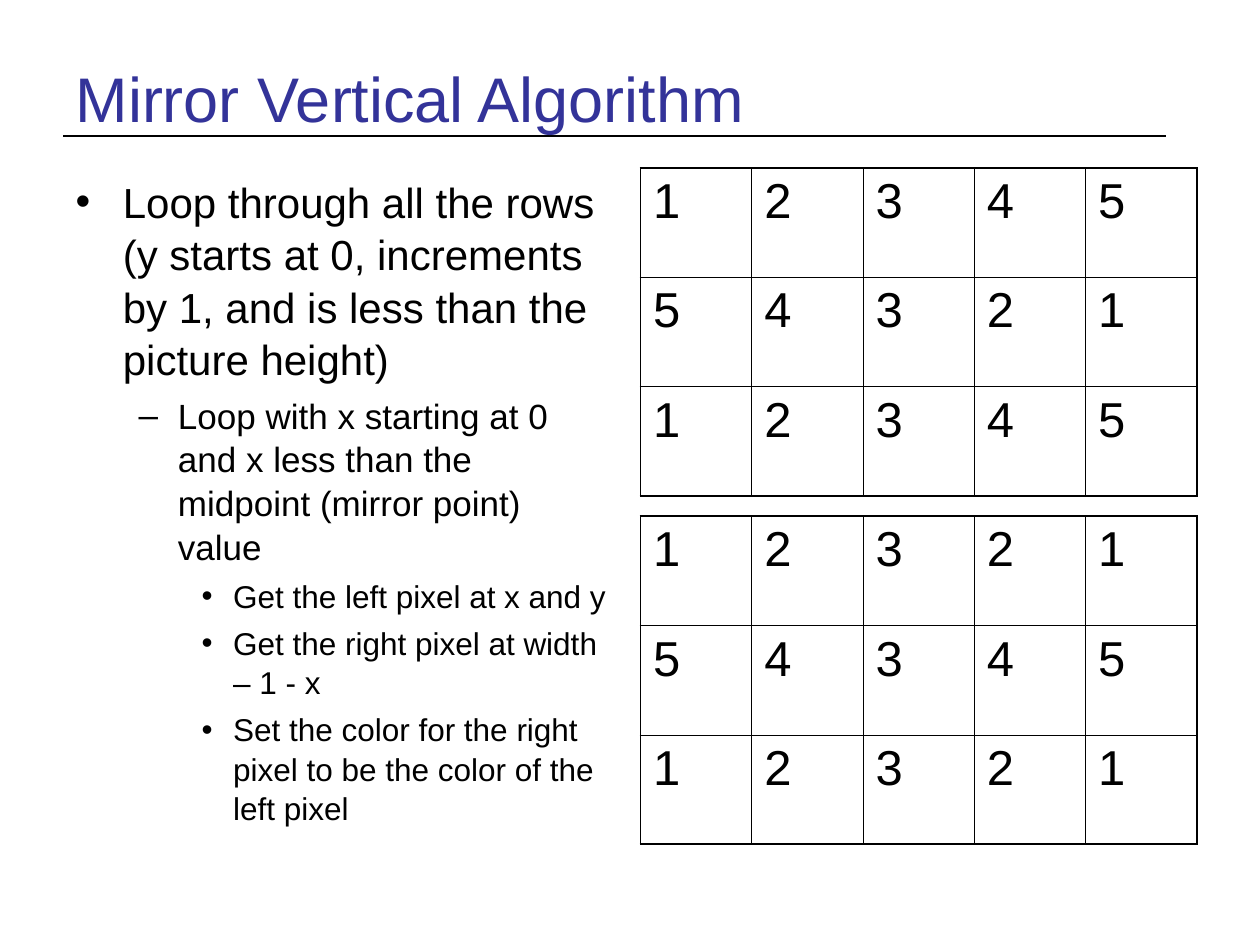
"""Builds the slide on the vertical mirror algorithm."""
from lxml.etree import SubElement
from pptx import Presentation
from pptx.dml.color import RGBColor
from pptx.enum.shapes import MSO_CONNECTOR
from pptx.enum.text import MSO_ANCHOR, MSO_AUTO_SIZE, PP_ALIGN
from pptx.oxml.ns import qn
from pptx.util import Pt

BULLETS = ["•", "–", "•"]
TEXT_SIZES = [24, 20, 18]
SPACES_BEFORE = [6, 5, 4.5]
INDENTS = [(27, -27), (58.5, -22.5), (90, -18)]
STEPS = [
    (0, "Loop through all the rows (y starts at 0, increments by 1, "
        "and is less than the picture height)"),
    (1, "Loop with x starting at 0 and x less than the midpoint (mirror point) value"),
    (2, "Get the left pixel at x and y"),
    (2, "Get the right pixel at width – 1 - x"),
    (2, "Set the color for the right pixel to be the color of the left pixel"),
]
PIXELS_BEFORE = ["12345", "54321", "12345"]
PIXELS_AFTER = ["12321", "54345", "12321"]


def rgb(hex_color):
    return RGBColor.from_string(hex_color)


class SlideBuilder:
    font_name = "Arial"
    ink = "000000"
    title_color = "333399"
    outer_width = 1.08
    inner_width = 0.45

    def __init__(self, slide):
        self.slide = slide

    def format_runs(self, paragraph, size, color):
        for run in paragraph.runs:
            run.font.name = self.font_name
            run.font.size = Pt(size)
            run.font.color.rgb = rgb(color)

    def place(self, placeholder, left, top, width, height):
        placeholder.left, placeholder.top = Pt(left), Pt(top)
        placeholder.width, placeholder.height = Pt(width), Pt(height)
        placeholder.text_frame.auto_size = MSO_AUTO_SIZE.NONE
        return placeholder.text_frame

    def title(self, text, *box):
        heading = self.place(self.slide.shapes.title, *box)
        heading.text = text
        heading.vertical_anchor = MSO_ANCHOR.MIDDLE
        heading.paragraphs[0].alignment = PP_ALIGN.LEFT
        self.format_runs(heading.paragraphs[0], 36, self.title_color)

    def rule(self, left, right, top):
        underline = self.slide.shapes.add_connector(
            MSO_CONNECTOR.STRAIGHT, Pt(left), Pt(top), Pt(right), Pt(top))
        underline.line.color.rgb = rgb(self.ink)
        underline.line.width = Pt(1.5)
        element = underline._element
        SubElement(element.spPr, qn("a:effectLst"))
        element.getparent().insert(2, element)

    def outline(self, steps, *box):
        body = self.place(self.slide.placeholders[1], *box)
        body.text = "\n".join(text for _, text in steps)
        for index, (level, _) in enumerate(steps):
            step = body.paragraphs[index]
            step.level = level
            step.line_spacing = 1.04
            step.space_before = Pt(SPACES_BEFORE[level] if index else 0)
            properties = step._p.get_or_add_pPr()
            margin, indent = INDENTS[level]
            properties.set("marL", str(Pt(margin)))
            properties.set("indent", str(Pt(indent)))
            bullet_color = SubElement(properties, qn("a:buClr"))
            SubElement(bullet_color, qn("a:srgbClr"), val=self.ink)
            SubElement(properties, qn("a:buFont"), typeface=self.font_name)
            SubElement(properties, qn("a:buChar"), char=BULLETS[level])
            self.format_runs(step, TEXT_SIZES[level], self.ink)

    def borders(self, cell, outer_sides):
        properties = cell._tc.get_or_add_tcPr()
        for side in "LRTB":
            width = self.outer_width if side in outer_sides else self.inner_width
            border = SubElement(properties, qn(f"a:ln{side}"), w=str(Pt(width)))
            fill = SubElement(border, qn("a:solidFill"))
            SubElement(fill, qn("a:srgbClr"), val=self.ink)

    def pixel_grid(self, pixels, left, top, width, height):
        row_count, column_count = len(pixels), len(pixels[0])
        grid = self.slide.shapes.add_table(
            row_count, column_count, Pt(left), Pt(top), Pt(width), Pt(height)).table
        grid.first_row = grid.horz_banding = False
        for y, row in enumerate(pixels):
            for x, value in enumerate(row):
                cell = grid.cell(y, x)
                cell.text = value
                self.format_runs(cell.text_frame.paragraphs[0], 28, self.ink)
                edges = {"L": x == 0, "R": x == column_count - 1,
                         "T": y == 0, "B": y == row_count - 1}
                self.borders(cell, [side for side, on_edge in edges.items() if on_edge])
                cell.fill.background()


def main():
    presentation = Presentation()
    presentation.slide_width, presentation.slide_height = Pt(720), Pt(540)
    builder = SlideBuilder(presentation.slides.add_slide(presentation.slide_layouts[1]))
    builder.rule(36, 666, 77.75)
    builder.title("Mirror Vertical Algorithm", 36, 21.5, 648, 68.5)
    builder.outline(STEPS, 36, 96, 318, 386.5)
    for pixels, top in ((PIXELS_BEFORE, 96), (PIXELS_AFTER, 295)):
        builder.pixel_grid(pixels, 366, top, 318, 187.5)
    presentation.save("out.pptx")


if __name__ == "__main__":
    main()
